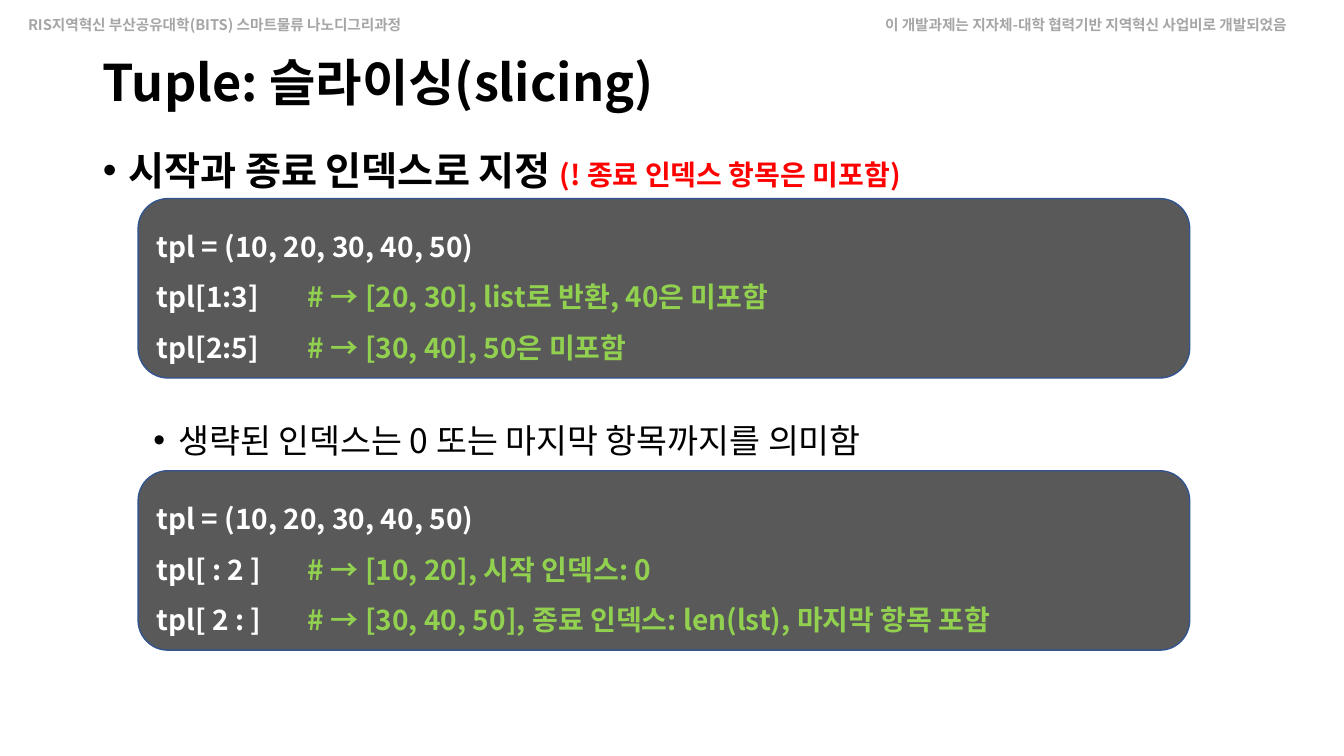
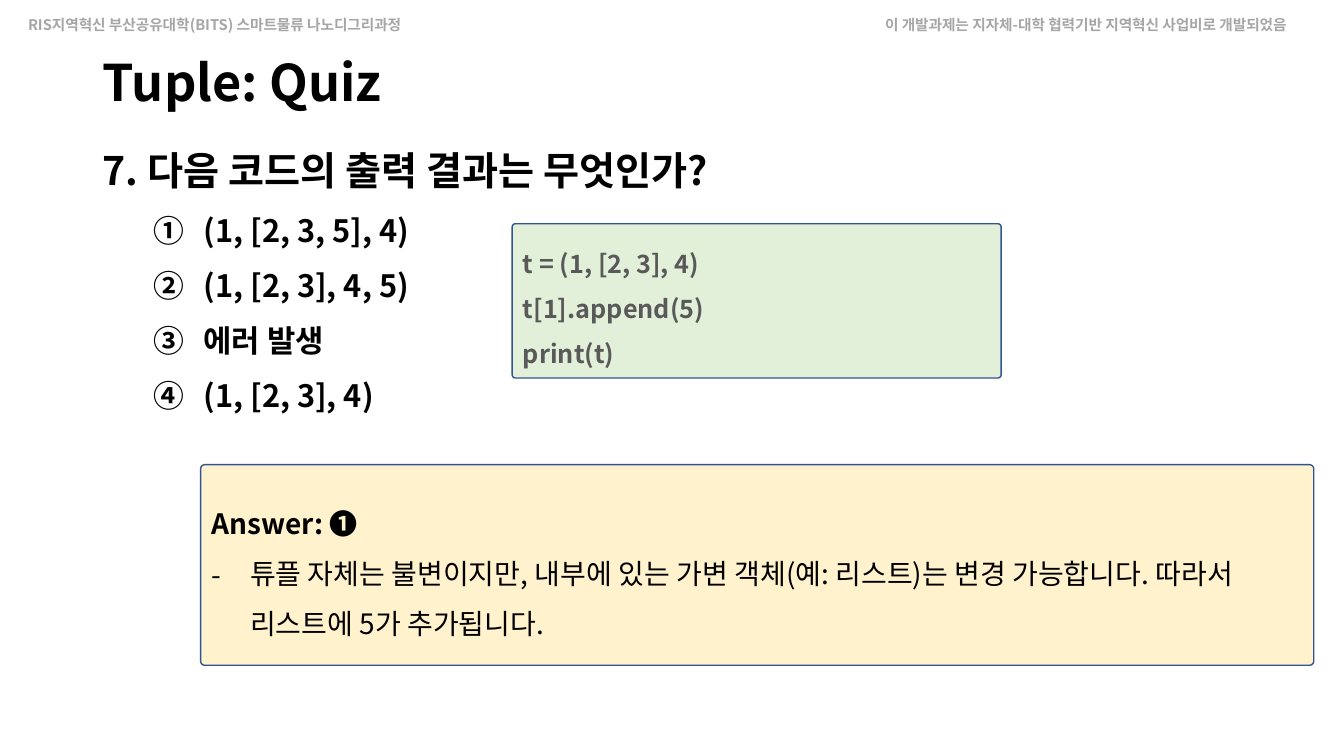
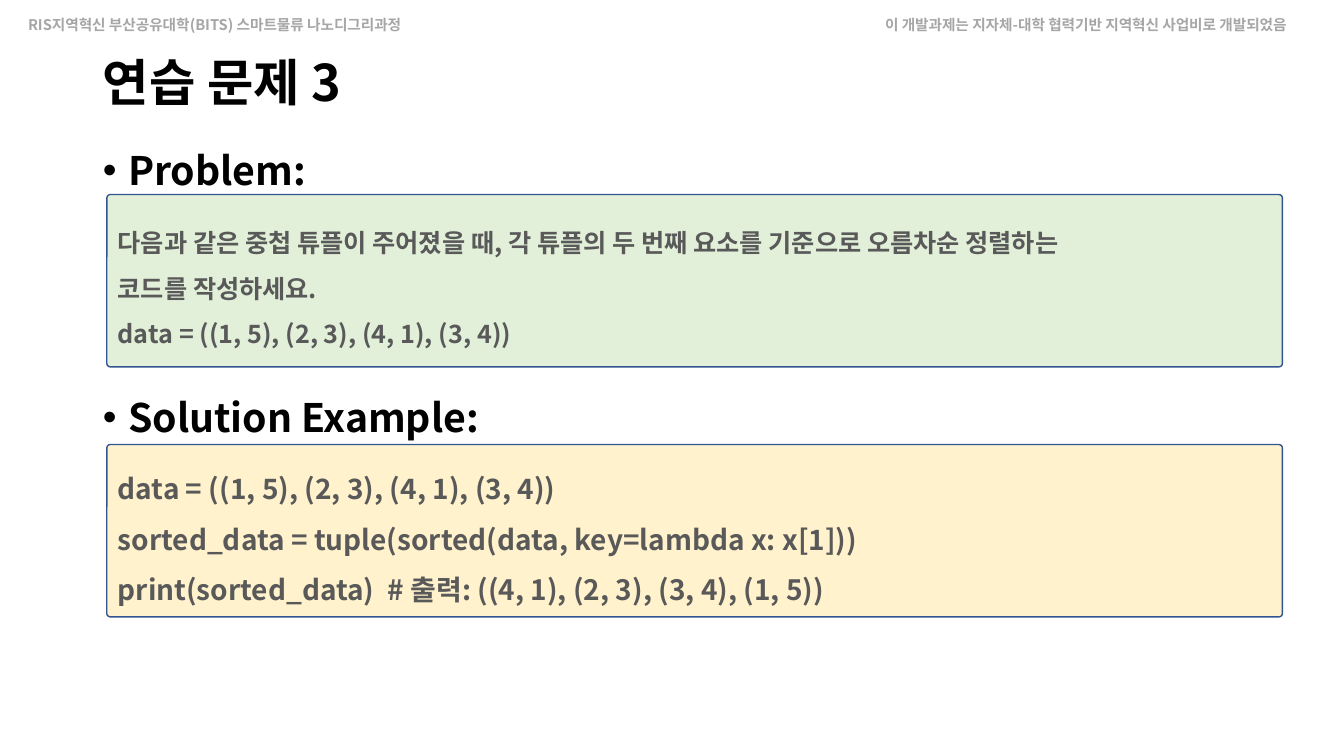
from lxml import etree
from pptx import Presentation
from pptx.dml.color import RGBColor
from pptx.enum.shapes import MSO_SHAPE
from pptx.enum.text import MSO_ANCHOR, MSO_AUTO_SIZE, PP_ALIGN
from pptx.oxml.ns import qn
from pptx.util import Emu, Pt

ROUNDED = MSO_SHAPE.ROUNDED_RECTANGLE
TOP, MIDDLE = MSO_ANCHOR.TOP, MSO_ANCHOR.MIDDLE
NO_FIT = MSO_AUTO_SIZE.NONE
LEFT = PP_ALIGN.LEFT

PX = 9144  # 100 px to the inch
FONT = "Noto Sans CJK KR"
COLORS = {
    "black": "000000", "white": "FFFFFF", "red": "FF0000", "header": "A6A6A6",
    "gray": "595959", "comment": "92D050", "border": "325491",
    "green": "E2F0D9", "cream": "FFF2CC",
}

SLIDE_SIZE = (1333, 750)
TITLE_AT = (92, 40, 1150, 90)
BODY_AT = (92, 117, 1208, 633)
HEADERS = [
    ((18, 11, 424, 28), "RIS지역혁신 부산공유대학(BITS) 스마트물류 나노디그리과정"),
    ((868, 11, 466, 28), "이 개발과제는 지자체-대학 협력기반 지역혁신 사업비로 개발되었음"),
]

# Each style overrides BASE; indent, hang and tab are px, size and before are pt.
BASE = {"size": 20, "bold": True, "color": "black", "spacing": 1.5, "before": 0,
        "level": 0, "indent": 0, "hang": 0, "bullet": None, "tab": None}
STYLES = {
    "header": {"size": 10.5, "color": "header", "spacing": 1},
    "title": {"size": 36, "spacing": 0.9},
    "point": {"size": 28, "indent": 25, "hang": 25, "bullet": "•"},
    "later point": {"size": 28, "indent": 25, "hang": 25, "bullet": "•", "before": 125.6},
    "subpoint": {"size": 24, "bold": False, "level": 1, "indent": 75, "hang": 25,
                 "bullet": "•", "before": 147.4},
    "question": {"size": 28},
    "option": {"size": 22, "spacing": 1.3, "before": 5, "level": 1, "indent": 100,
               "hang": 50, "bullet": "circleNumDbPlain"},
    "dark code": {"color": "white", "tab": 200},
    "code": {"color": "gray"},
    "small code": {"color": "gray", "size": 18},
    "answer": {},
    "reason": {"bold": False, "indent": 38, "hang": 38, "bullet": "-"},
}


def commented(code, comment):
    return [(code + "\t", {}), (comment, {"color": "comment"})]


def lines(style, *texts):
    return [(style, text) for text in texts]


# Paragraphs are (style, text) or (style, [(run text, run overrides), ...]).
SLIDES = [
    {
        "title": "Tuple: 슬라이싱(slicing)",
        "body": [
            ("point", [("시작과 종료 인덱스로 지정 ", {}),
                       ("(! 종료 인덱스 항목은 미포함)", {"color": "red", "size": 20})]),
            ("subpoint", "생략된 인덱스는 0 또는 마지막 항목까지를 의미함"),
        ],
        "boxes": [
            {"at": (137, 197, 1043, 178), "fill": "gray", "text": lines(
                "dark code",
                "tpl = (10, 20, 30, 40, 50)",
                commented("tpl[1:3]", "# → [20, 30], list로 반환, 40은 미포함"),
                commented("tpl[2:5]", "# → [30, 40], 50은 미포함"))},
            {"at": (137, 467, 1043, 178), "fill": "gray", "text": lines(
                "dark code",
                "tpl = (10, 20, 30, 40, 50)",
                commented("tpl[ : 2 ]", "# → [10, 20], 시작 인덱스: 0"),
                commented("tpl[ 2 : ]",
                          "# → [30, 40, 50], 종료 인덱스: len(lst), 마지막 항목 포함"))},
        ],
    },
    {
        "title": "Tuple: Quiz",
        "body_width": 1228,
        "body": [("question", "7. 다음 코드의 출력 결과는 무엇인가?")] + lines(
            "option", "(1, [2, 3, 5], 4)", "(1, [2, 3], 4, 5)", "에러 발생", "(1, [2, 3], 4)"),
        "boxes": [
            {"at": (199, 461, 1104, 199), "fill": "cream", "corner": 0.02, "text": [
                ("answer", "Answer: ❶"),
                ("reason", "튜플 자체는 불변이지만, 내부에 있는 가변 객체(예: 리스트)는 "
                           "변경 가능합니다. 따라서 리스트에 5가 추가됩니다.")]},
            {"at": (508, 222, 485, 153), "fill": "green", "corner": 0.02, "text": lines(
                "small code", "t = (1, [2, 3], 4)", "t[1].append(5)", "print(t)")},
        ],
    },
    {
        "title": "연습 문제 3",
        "body": [("point", "Problem:"), ("later point", "Solution Example:")],
        "boxes": [
            {"at": (106, 193, 1166, 171), "fill": "green", "corner": 0.02, "text": lines(
                "small code",
                "다음과 같은 중첩 튜플이 주어졌을 때, 각 튜플의 두 번째 요소를 "
                "기준으로 오름차순 정렬하는",
                "코드를 작성하세요.",
                "data = ((1, 5), (2, 3), (4, 1), (3, 4))")},
            {"at": (106, 441, 1166, 171), "fill": "cream", "corner": 0.02, "text": lines(
                "code",
                "data = ((1, 5), (2, 3), (4, 1), (3, 4))",
                "sorted_data = tuple(sorted(data, key=lambda x: x[1]))",
                "print(sorted_data)  # 출력: ((4, 1), (2, 3), (3, 4), (1, 5))")},
        ],
    },
]


def emu(lengths):
    return [Emu(length * PX) for length in lengths]


def rgb(name):
    return RGBColor.from_string(COLORS[name])


def place(shape, at):
    shape.left, shape.top, shape.width, shape.height = emu(at)


def set_bullet(properties, style):
    """Write the indent, bullet and tab stop of a paragraph."""
    properties.set("marL", str(style["indent"] * PX))
    properties.set("indent", str(-style["hang"] * PX))
    bullet = style["bullet"]
    if bullet is None:
        etree.SubElement(properties, qn("a:buNone"))
    elif len(bullet) > 1:
        etree.SubElement(properties, qn("a:buFont"), typeface="+mj-lt")
        etree.SubElement(properties, qn("a:buAutoNum"), type=bullet)
    else:
        bullet_font = "Arial" if bullet == "•" else FONT
        etree.SubElement(properties, qn("a:buFont"), typeface=bullet_font)
        etree.SubElement(properties, qn("a:buChar"), char=bullet)
    if style["tab"]:
        tabs = etree.SubElement(properties, qn("a:tabLst"))
        etree.SubElement(tabs, qn("a:tab"), pos=str(style["tab"] * PX), algn="l")


def write_paragraph(para, style_name, text):
    style = {**BASE, **STYLES[style_name]}
    para.level = style["level"]
    para.alignment = LEFT
    properties = para._p.get_or_add_pPr()
    set_bullet(properties, style)
    para.line_spacing = style["spacing"]
    para.space_before = Pt(style["before"])
    font = para.font
    font.name, font.size, font.bold = FONT, Pt(style["size"]), style["bold"]
    font.color.rgb = rgb(style["color"])
    etree.SubElement(properties.find(qn("a:defRPr")), qn("a:ea"), typeface=FONT)
    for run_text, changes in [(text, {})] if isinstance(text, str) else text:
        span = para.add_run()
        span.text = run_text
        if "color" in changes:
            span.font.color.rgb = rgb(changes["color"])
        if "size" in changes:
            span.font.size = Pt(changes["size"])


def write_text(shape, paragraphs, anchor=TOP, wrap=True):
    frame = shape.text_frame
    frame.word_wrap, frame.auto_size, frame.vertical_anchor = wrap, NO_FIT, anchor
    for index, (style_name, text) in enumerate(paragraphs):
        para = frame.add_paragraph() if index else frame.paragraphs[0]
        write_paragraph(para, style_name, text)


def add_box(slide, at, fill, text, corner=None):
    box = slide.shapes.add_shape(ROUNDED, *emu(at))
    box.shadow.inherit = False
    if corner:
        box.adjustments[0] = corner
    box.fill.solid()
    box.fill.fore_color.rgb = rgb(fill)
    box.line.color.rgb = rgb("border")
    box.line.width = Pt(1)
    write_text(box, text, MIDDLE)


def prepare_layout(layout):
    """Place title and body on the layout and drop its footer placeholders."""
    title, body, *footers = layout.placeholders
    place(title, TITLE_AT)
    place(body, BODY_AT)
    for footer in footers:
        layout.shapes.element.remove(footer.element)


def add_headers(slide):
    """Move the header lines to the layout, where every slide shows them."""
    for at, text in HEADERS:
        box = slide.shapes.add_textbox(*emu(at))
        write_text(box, [("header", text)], wrap=False)
        slide.slide_layout.shapes.element.append(box.element)


def main():
    deck = Presentation()
    deck.slide_width, deck.slide_height = emu(SLIDE_SIZE)
    layout = deck.slide_layouts[1]
    prepare_layout(layout)
    for number, content in enumerate(SLIDES):
        slide = deck.slides.add_slide(layout)
        if number == 0:
            add_headers(slide)
        title, body = slide.placeholders
        write_text(title, [("title", content["title"])], MIDDLE)
        if "body_width" in content:
            left, top, _, height = BODY_AT
            place(body, (left, top, content["body_width"], height))
        write_text(body, content["body"])
        for box in content["boxes"]:
            add_box(slide, **box)
    deck.save("out.pptx")


if __name__ == "__main__":
    main()
